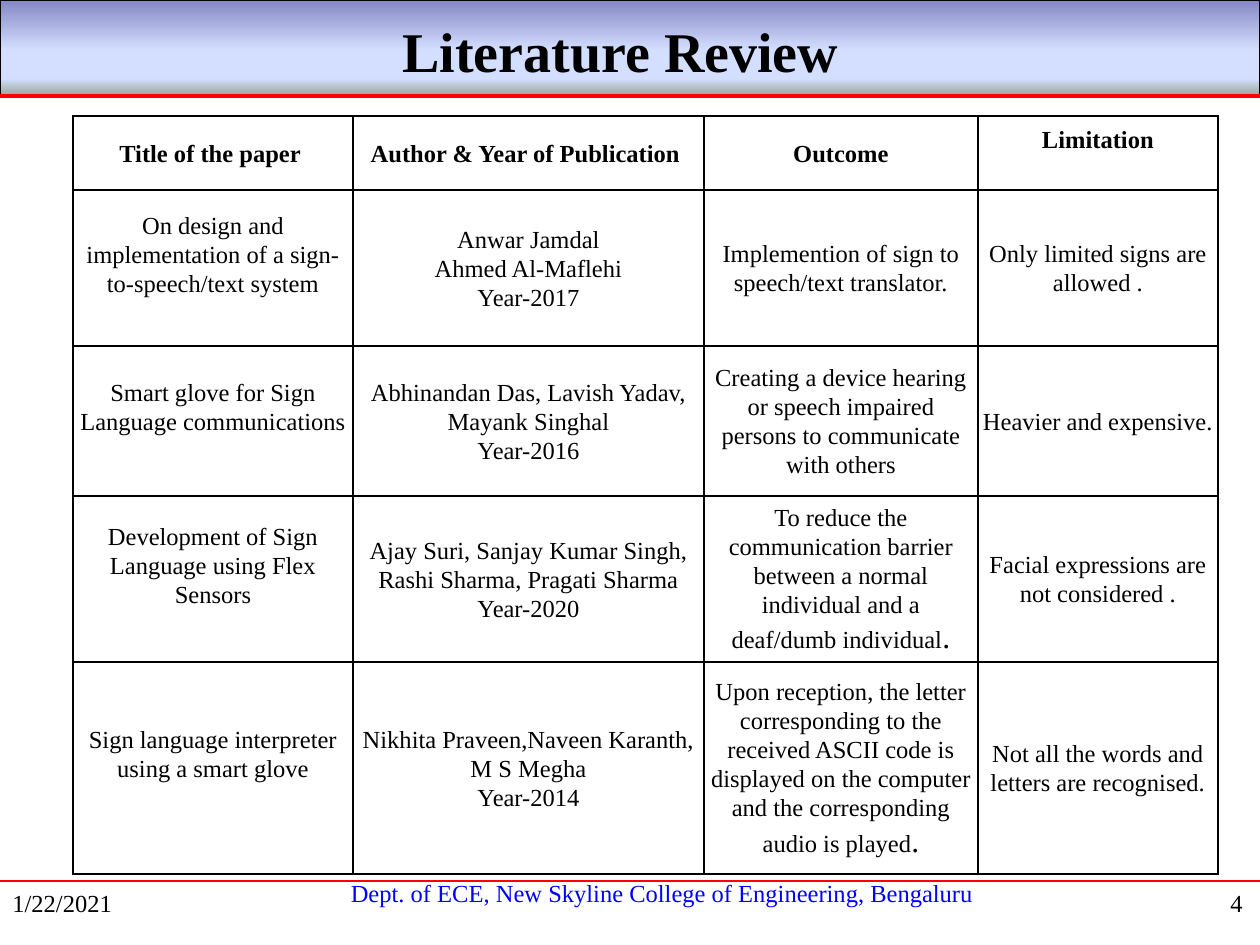
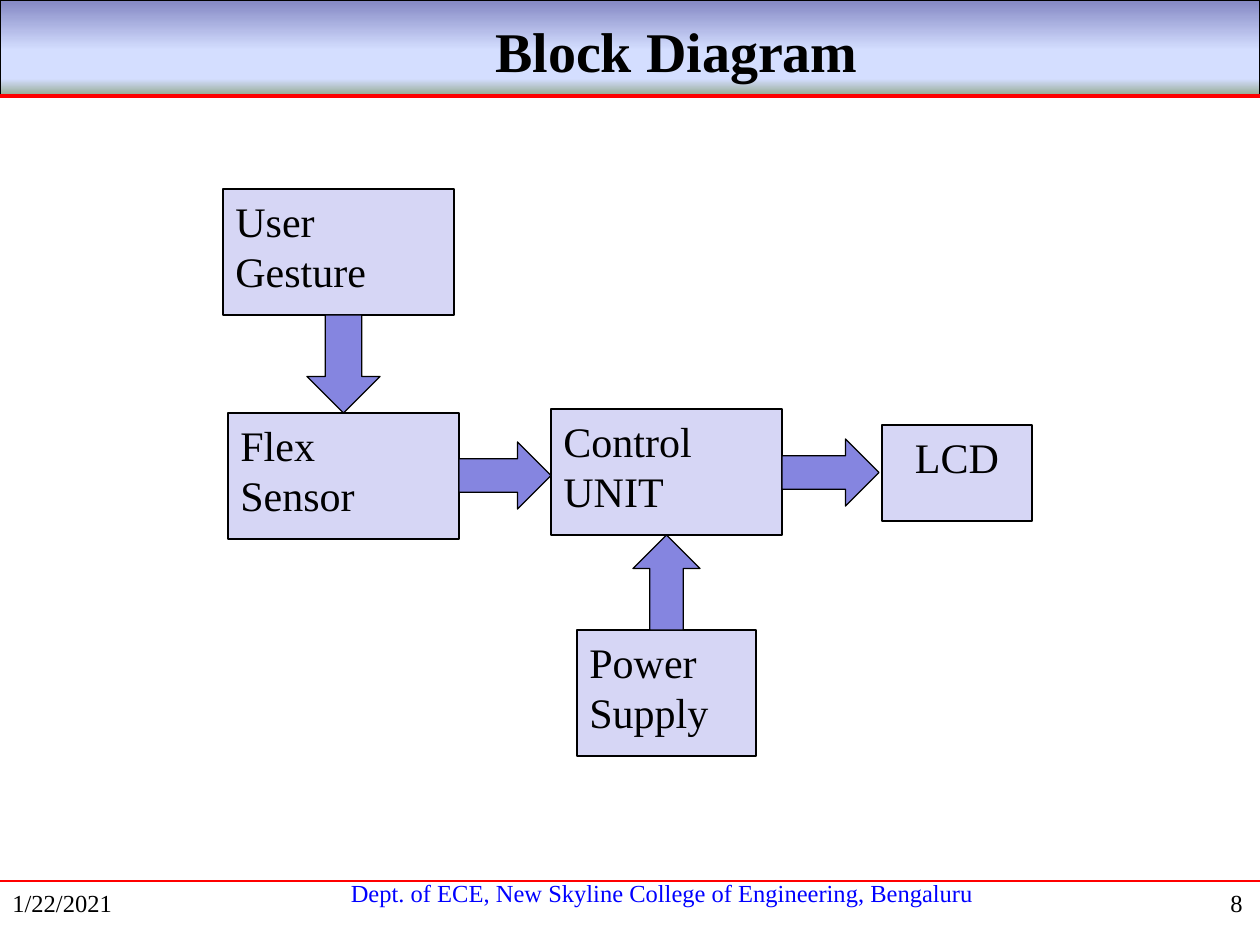
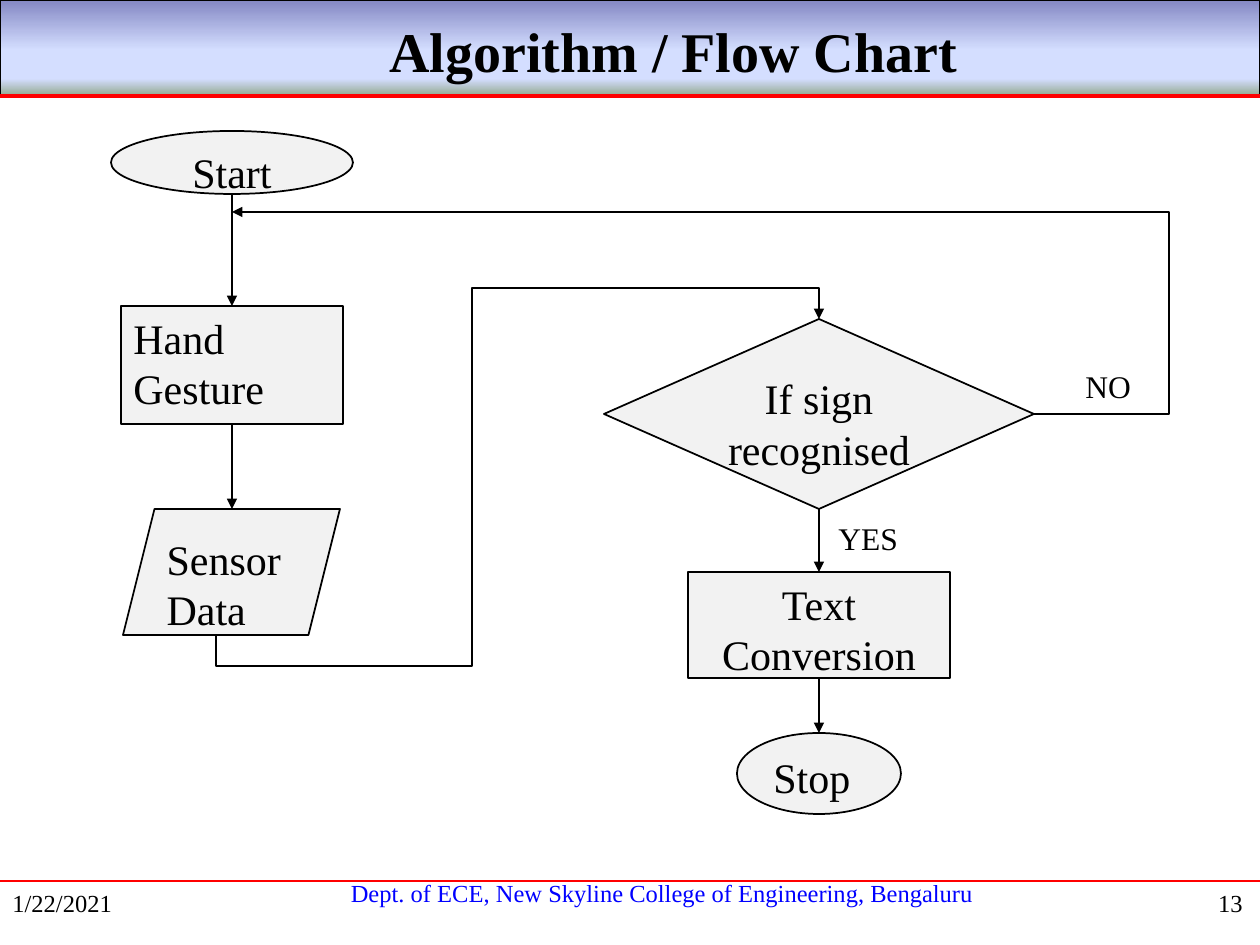
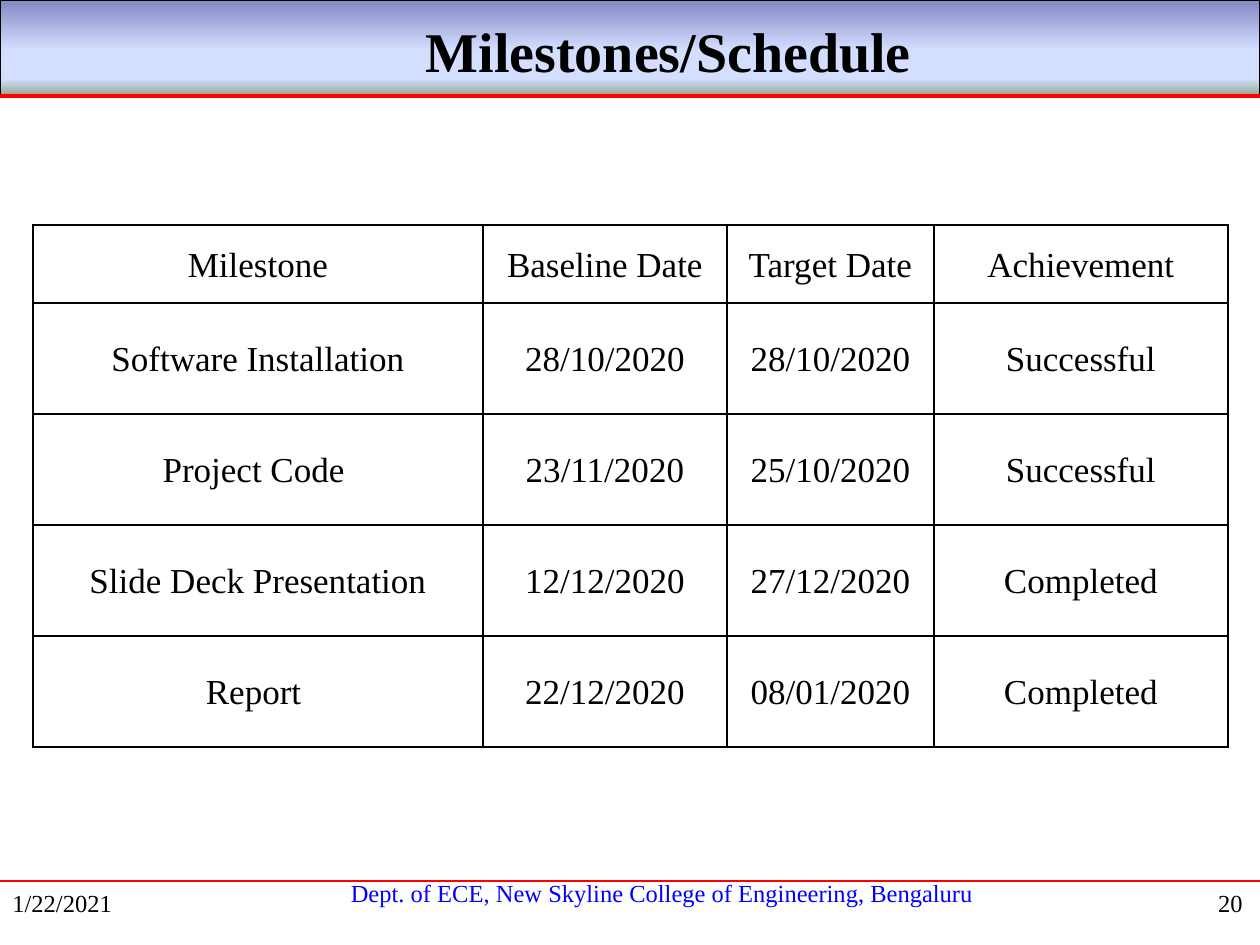
"""Build four project review slides: literature, block diagram, flow chart and schedule."""
import pptx
import pptx.dml.color
import pptx.enum.shapes
import pptx.enum.text
import pptx.oxml.ns
import pptx.util
from lxml import etree

EMU_PER_PX = 914400 / 126
FONT = "Times New Roman"
COLORS = {
    "ink": "000000",
    "paper": "FFFFFF",
    "rule": "FF0000",
    "department": "0000FF",
    "block": "D6D6F5",
    "arrow": "8585E0",
    "step": "F2F2F2",
}
BANNER_STOPS = [(0, "8488C4"), (53, "D4DEFF"), (83, "D4DEFF"), (100, "96AB94")]
DATE = "1/22/2021"
DEPARTMENT = "Dept. of ECE, New Skyline College of Engineering, Bengaluru"

SHAPE = pptx.enum.shapes.MSO_SHAPE
ALIGN = pptx.enum.text.PP_ALIGN
ANCHOR = pptx.enum.text.MSO_ANCHOR
FIT = pptx.enum.text.MSO_AUTO_SIZE
TOP, BOTTOM = 0, 2

PAPERS = [
    ["Title of the paper ", "Author & Year of Publication ", "Outcome", "Limitation"],
    ["On design and implementation of a sign-to-speech/text system",
     "Anwar Jamdal\nAhmed Al-Maflehi\nYear-2017",
     "Implemention of sign to speech/text translator.",
     "Only limited signs are allowed ."],
    ["Smart glove for Sign Language communications",
     "Abhinandan Das, Lavish Yadav,\nMayank Singhal\nYear-2016",
     "Creating a device hearing or speech impaired persons to communicate with others",
     "Heavier and expensive."],
    ["Development of Sign Language using Flex Sensors",
     "Ajay Suri, Sanjay Kumar Singh, Rashi Sharma, Pragati Sharma\nYear-2020",
     "To reduce the communication barrier between a normal individual "
     "and a deaf/dumb individual|.",
     "Facial expressions are not considered ."],
    ["Sign language interpreter using a smart glove",
     "Nikhita Praveen,Naveen Karanth, M S Megha\nYear-2014",
     "Upon reception, the letter corresponding to the received ASCII code is "
     "displayed on the computer and the corresponding audio is played|.",
     "Not all the words and letters are recognised."],
]
MILESTONES = [
    ["Milestone", "Baseline Date", "Target Date", "Achievement"],
    ["Software Installation", "28/10/2020", "28/10/2020", "Successful"],
    ["Project Code ", "23/11/2020", "25/10/2020", "Successful"],
    ["Slide Deck Presentation", "12/12/2020", "27/12/2020", "Completed"],
    ["Report ", "22/12/2020", "08/01/2020", "Completed"],
]


def px(*lengths):
    """Turn pixel lengths into a list of EMU lengths."""
    return [pptx.util.Emu(round(length * EMU_PER_PX)) for length in lengths]


def rgb(name):
    """Look up a named colour."""
    return pptx.dml.color.RGBColor.from_string(COLORS[name])


def add_xml(parent, tag, **attributes):
    """Append a DrawingML element to a parent and return it."""
    return etree.SubElement(parent, pptx.oxml.ns.qn(tag), attributes)


def write(frame, text, size, color="ink", align=ALIGN.LEFT, bold=False):
    """Write one paragraph per line; text after a bar is set at 18 points."""
    for index, line in enumerate(text.split("\n")):
        para = frame.add_paragraph() if index else frame.paragraphs[0]
        para.alignment = align
        para.font.name = FONT
        para.font.size = pptx.util.Pt(size)
        para.font.bold = bold
        para.font.color.rgb = rgb(color)
        normal, _, large = line.partition("|")
        para.add_run().text = normal
        if large:
            span = para.add_run()
            span.text = large
            span.font.size = pptx.util.Pt(18)


def add_text(page, at, text, size, color="ink", align=ALIGN.LEFT, wrap=True, grow=True):
    """Add a text box."""
    box = page.shapes.add_textbox(*px(*at))
    box.text_frame.word_wrap = wrap
    box.text_frame.auto_size = FIT.SHAPE_TO_FIT_TEXT if grow else FIT.NONE
    write(box.text_frame, text, size, color, align)
    return box


def set_line(shape, color="ink", width=0.75, arrow=False):
    """Colour an outline and give it an optional arrowhead at its end."""
    shape.line.color.rgb = rgb(color)
    shape.line.width = pptx.util.Pt(width)
    if arrow:
        outline = shape.element.spPr.find(pptx.oxml.ns.qn("a:ln"))
        add_xml(outline, "a:tailEnd", type="triangle")


def add_shape(page, kind, at, fill, text="", align=ALIGN.LEFT, width=0.75):
    """Add a filled, outlined preset shape with text at its top."""
    shape = page.shapes.add_shape(kind, *px(*at))
    shape.shadow.inherit = False
    shape.fill.solid()
    shape.fill.fore_color.rgb = rgb(fill)
    set_line(shape, width=width)
    if text:
        shape.text_frame.word_wrap = True
        shape.text_frame.vertical_anchor = ANCHOR.TOP
        write(shape.text_frame, text, 24, align=align)
    return shape


def add_line(page, start, end, color="ink", width=0.75, arrow=False):
    """Add a straight connector."""
    kind = pptx.enum.shapes.MSO_CONNECTOR.STRAIGHT
    line = page.shapes.add_connector(kind, *px(*start, *end))
    set_line(line, color, width, arrow)
    add_xml(line.element.spPr, "a:effectLst")
    return line


def add_route(page, points):
    """Add an open right-angled path that ends in an arrowhead."""
    corners = [tuple(px(*point)) for point in points]
    builder = page.shapes.build_freeform(*corners[0])
    builder.add_line_segments(corners[1:], close=False)
    route = builder.convert_to_shape()
    route.shadow.inherit = False
    route.fill.background()
    set_line(route, arrow=True)


def format_cell(cell, text, size, side, fill, spacing):
    """Write, border and fill one table cell."""
    cell.vertical_anchor = ANCHOR.MIDDLE
    cell.margin_left, cell.margin_right = px(side, side)
    cell.margin_top = cell.margin_bottom = 0
    properties = cell._tc.get_or_add_tcPr()
    for edge in ("a:lnL", "a:lnR", "a:lnT", "a:lnB"):
        border = add_xml(properties, edge, w=str(pptx.util.Pt(1)))
        add_xml(add_xml(border, "a:solidFill"), "a:srgbClr", val=COLORS["ink"])
    if fill:
        cell.fill.solid()
        cell.fill.fore_color.rgb = rgb(fill)
    else:
        cell.fill.background()
    write(cell.text_frame, text, size, align=ALIGN.CENTER)
    for para in cell.text_frame.paragraphs:
        para.line_spacing = 1.07
        para.space_before = para.space_after = pptx.util.Pt(spacing)


def add_table(page, left, top, widths, heights, rows, size, side, fill=None, spacing=0):
    """Add a bordered table and return it."""
    at = px(left, top, sum(widths), sum(heights))
    table = page.shapes.add_table(len(rows), len(widths), *at).table
    table.first_row = table.horz_banding = False
    for column, width in zip(table.columns, px(*widths)):
        column.width = width
    for row, height, texts in zip(table.rows, px(*heights), rows):
        row.height = height
        for cell, text in zip(row.cells, texts):
            format_cell(cell, text, size, side, fill, spacing)
    return table


def share_frame(page):
    """Draw the banner, rules and department line, and move them to the layout."""
    banner = add_shape(page, SHAPE.RECTANGLE, (0, 0, 1260, 95), "paper")
    banner.fill.gradient()
    banner.fill.gradient_angle = 270
    stops = banner.element.spPr.find(".//" + pptx.oxml.ns.qn("a:gsLst"))
    stops.clear()
    for percent, color in BANNER_STOPS:
        stop = add_xml(stops, "a:gs", pos=str(percent * 1000))
        add_xml(stop, "a:srgbClr", val=color)
    upper_rule = add_line(page, (0, 96), (1260, 96), "rule", 2.25)
    department = add_text(page, (210, 872, 892, 42), DEPARTMENT, 14, "department", ALIGN.CENTER)
    department.text_frame.margin_left, = px(25)
    lower_rule = add_line(page, (0, 881), (1260, 881), "rule", 1.5)
    layout = page.slide_layout
    for holder in list(layout.placeholders):
        if holder.placeholder_format.idx:
            layout.shapes.element.remove(holder.element)
    for index, shape in enumerate([banner, upper_rule, department, lower_rule]):
        layout.shapes.element.insert(2 + index, shape.element)


def add_page(deck, title, number, shift=0):
    """Add a slide with its title, date and number; shift moves the title's centre."""
    page = deck.slides.add_slide(deck.slide_layouts[5])
    if len(deck.slides) == 1:
        share_frame(page)
    heading = page.shapes.title
    heading.left, heading.top, heading.width, heading.height = px(0, 10, 1255, 81)
    frame = heading.text_frame
    frame.auto_size = FIT.SHAPE_TO_FIT_TEXT
    frame.vertical_anchor = ANCHOR.TOP
    frame.margin_left, = px(13 + 2 * shift)
    write(frame, title, 32, align=ALIGN.CENTER, bold=True)
    add_text(page, (0, 882, 262, 63), DATE, 14, grow=False)
    add_text(page, (993, 882, 262, 63), str(number), 14, align=ALIGN.RIGHT, grow=False)
    return page


def add_literature(deck):
    """Add the literature review table."""
    page = add_page(deck, "Literature Review ", 4)
    table = add_table(page, 73, 116, [280, 351, 274, 240], [74, 156, 150, 161, 212],
                      PAPERS, 14, 3, "paper")
    for cell in table.rows[0].cells:
        cell.text_frame.paragraphs[0].font.bold = True
    raised = [table.cell(0, 3)] + [table.cell(row, 0) for row in range(1, len(PAPERS))]
    for cell in raised:
        cell.margin_bottom, = px(28)


def add_block_diagram(deck):
    """Add the block diagram."""
    page = add_page(deck, "Block Diagram", 8, 49)
    blocks = [
        ((223, 189, 231, 126), "User Gesture", ALIGN.LEFT),
        ((228, 413, 231, 126), "Flex\nSensor", ALIGN.LEFT),
        ((551, 409, 231, 126), "Control\nUNIT", ALIGN.LEFT),
        ((882, 425, 150, 96), "LCD", ALIGN.CENTER),
        ((577, 630, 179, 126), "Power Supply", ALIGN.LEFT),
    ]
    for at, text, align in blocks:
        add_shape(page, SHAPE.RECTANGLE, at, "block", text, align)
    arrows = [
        (SHAPE.DOWN_ARROW, (307, 315, 73, 98)),
        (SHAPE.RIGHT_ARROW, (459, 442, 92, 67)),
        (SHAPE.RIGHT_ARROW, (782, 439, 97, 67)),
        (SHAPE.UP_ARROW, (633, 535, 67, 95)),
    ]
    for kind, at in arrows:
        add_shape(page, kind, at, "arrow")


def add_flow_chart(deck):
    """Add the flow chart."""
    page = add_page(deck, "Algorithm / Flow Chart", 13, 46)

    def step(kind, at, text, align=ALIGN.LEFT):
        """Add one step of the flow."""
        return add_shape(page, kind, at, "step", text, align, 1)

    step(SHAPE.OVAL, (111, 131, 242, 63), "Start", ALIGN.CENTER)
    gesture = step(SHAPE.RECTANGLE, (121, 306, 222, 118), "Hand Gesture")
    step(SHAPE.PARALLELOGRAM, (123, 509, 217, 126), "Sensor Data")
    decision = step(SHAPE.DIAMOND, (604, 319, 430, 190), "If sign recognised", ALIGN.CENTER)
    conversion = step(SHAPE.RECTANGLE, (688, 572, 262, 106), "Text Conversion", ALIGN.CENTER)
    stop = step(SHAPE.OVAL, (737, 733, 164, 81), "Stop")

    links = [
        ((232, 194), (232, 306), None, gesture),
        ((232, 424), (232, 509), gesture, None),
        ((819, 509), (819, 572), decision, conversion),
        ((819, 678), (819, 733), conversion, stop),
    ]
    for start, end, source, target in links:
        link = add_line(page, start, end, arrow=True)
        if source:
            link.begin_connect(source, BOTTOM)
        if target:
            link.end_connect(target, TOP)
    add_route(page, [(216, 635), (216, 666), (472, 666), (472, 288), (819, 288), (819, 319)])
    add_route(page, [(1034, 414), (1169, 414), (1169, 212), (232, 212)])
    add_text(page, (826, 513, 86, 50), "YES", 18, wrap=False)
    add_text(page, (1073, 361, 72, 50), "NO", 18, wrap=False)


def add_schedule(deck):
    """Add the milestone table."""
    page = add_page(deck, "Milestones/Schedule", 20, 41)
    add_table(page, 33, 225, [450, 244, 207, 294], [78] + [111] * 4,
              MILESTONES, 20, 8, spacing=3)


def main():
    """Build and save the deck."""
    deck = pptx.Presentation()
    deck.slide_width, deck.slide_height = px(1260, 945)
    add_literature(deck)
    add_block_diagram(deck)
    add_flow_chart(deck)
    add_schedule(deck)
    deck.save("out.pptx")


if __name__ == "__main__":
    main()
